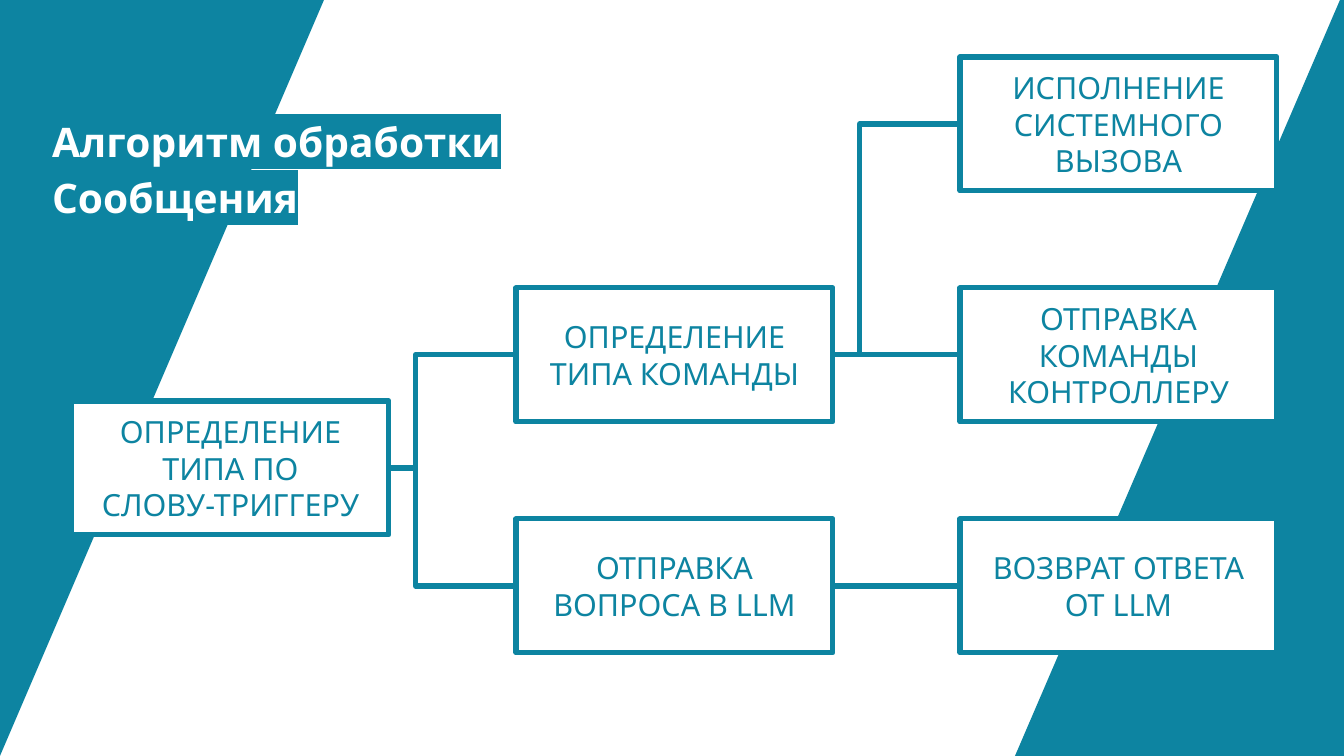
from lxml.etree import SubElement
from pptx import Presentation
from pptx.dml.color import RGBColor
from pptx.enum.shapes import MSO_CONNECTOR, MSO_SHAPE
from pptx.enum.text import MSO_ANCHOR, PP_ALIGN
from pptx.oxml import parse_xml
from pptx.oxml.ns import nsdecls, qn
from pptx.util import Pt

PX = 7495
SLIDE_WIDTH, SLIDE_HEIGHT = 1344, 756
TEAL = RGBColor(0x0D, 0x84, 0xA1)
WHITE = RGBColor(0xFF, 0xFF, 0xFF)
FONT = "Noto Sans"
LINE_WIDTH = Pt(3)

STEP_WIDTH, STEP_HEIGHT = 317, 134
COLUMN_STEP, ROW_STEP = 444, 231
FIRST_STEP_TOP = 344
ELBOW_POSITION = 20900

TRIGGER, COMMAND, QUESTION = "trigger", "command", "question"
SYSTEM, CONTROLLER, ANSWER = "system", "controller", "answer"
STEPS = {
    TRIGGER: (0, FIRST_STEP_TOP, "ОПРЕДЕЛЕНИЕ\nТИПА ПО\nСЛОВУ-ТРИГГЕРУ"),
    COMMAND: (1, ROW_STEP, "ОПРЕДЕЛЕНИЕ\nТИПА КОМАНДЫ"),
    QUESTION: (1, 2 * ROW_STEP, "ОТПРАВКА\nВОПРОСА В LLM"),
    SYSTEM: (2, 0, "ИСПОЛНЕНИЕ\nСИСТЕМНОГО\nВЫЗОВА"),
    CONTROLLER: (2, ROW_STEP, "ОТПРАВКА\nКОМАНДЫ\nКОНТРОЛЛЕРУ"),
    ANSWER: (2, 2 * ROW_STEP, "ВОЗВРАТ ОТВЕТА\nОТ LLM"),
}
LINKS = [
    (TRIGGER, COMMAND),
    (TRIGGER, QUESTION),
    (QUESTION, ANSWER),
    (COMMAND, SYSTEM),
    (COMMAND, CONTROLLER),
]


def write_text(shape, text, size, color, bold=False, align=PP_ALIGN.LEFT,
               spacing=1.0, margins=(0, 0), wrap=False, highlight=None):
    frame = shape.text_frame
    frame.word_wrap = wrap
    frame.vertical_anchor = MSO_ANCHOR.MIDDLE
    frame.margin_left = frame.margin_right = margins[0] * PX
    frame.margin_top = frame.margin_bottom = margins[1] * PX
    for index, line in enumerate(text.split("\n")):
        paragraph = frame.add_paragraph() if index else frame.paragraphs[0]
        paragraph.text = line
        paragraph.alignment = align
        paragraph.line_spacing = spacing
        for run in paragraph.runs:
            run.font.size = Pt(size)
            run.font.bold = bold
            run.font.name = FONT
            run.font.color.rgb = color
            if highlight is not None:
                fill = run.font._element.find(qn("a:solidFill"))
                fill.addnext(parse_xml(
                    f'<a:highlight {nsdecls("a")}>'
                    f'<a:srgbClr val="{highlight}"/></a:highlight>'))


def add_band(slide, left, top, points):
    start, *others = [(left + x, top + y) for x, y in points]
    builder = slide.shapes.build_freeform(*start, scale=PX)
    builder.add_line_segments(others, close=True)
    band = builder.convert_to_shape()
    band.shadow.inherit = False
    band.fill.solid()
    band.fill.fore_color.rgb = TEAL
    band.line.fill.background()


def add_title(slide, left, top, width, height):
    title = slide.shapes.add_textbox(left * PX, top * PX, width * PX, height * PX)
    write_text(title, "Алгоритм обработки\vСообщения", 24, WHITE, bold=True,
               spacing=1.15, wrap=True, highlight=TEAL)


def add_step(slide, left, top, text):
    step = slide.shapes.add_shape(MSO_SHAPE.RECTANGLE, left * PX, top * PX,
                                  STEP_WIDTH * PX, STEP_HEIGHT * PX)
    step.shadow.inherit = False
    step.fill.solid()
    step.fill.fore_color.rgb = WHITE
    step.line.color.rgb = TEAL
    step.line.width = LINE_WIDTH
    write_text(step, text, 18, TEAL, align=PP_ALIGN.CENTER, margins=(15, 9))
    return step


def add_link(slide, source, target):
    straight = source.top == target.top
    kind = MSO_CONNECTOR.STRAIGHT if straight else MSO_CONNECTOR.ELBOW
    link = slide.shapes.add_connector(kind, 0, 0, 0, 0)
    link.begin_connect(source, 3)
    link.end_connect(target, 1)
    link.line.color.rgb = TEAL
    link.line.width = LINE_WIDTH
    properties = link._element.spPr
    SubElement(properties, qn("a:effectLst"))
    if not straight:
        geometry = properties.find(qn("a:prstGeom"))
        SubElement(geometry.find(qn("a:avLst")), qn("a:gd"),
                   name="adj1", fmla=f"val {ELBOW_POSITION}")


def add_flowchart(slide, left, top):
    steps = {
        name: add_step(slide, left + column * COLUMN_STEP, top + offset, text)
        for name, (column, offset, text) in STEPS.items()
    }
    for source, target in LINKS:
        add_link(slide, steps[source], steps[target])


def main():
    presentation = Presentation()
    presentation.slide_width = SLIDE_WIDTH * PX
    presentation.slide_height = SLIDE_HEIGHT * PX
    slide = presentation.slides.add_slide(presentation.slide_layouts[6])
    add_band(slide, 0, 0, [(0, 0), (324, 0), (0, SLIDE_HEIGHT)])
    add_band(slide, 1015, 0, [(325, 0), (329, 0), (329, SLIDE_HEIGHT),
                              (0, SLIDE_HEIGHT)])
    add_flowchart(slide, 72, 57)
    add_title(slide, 52, 0, 692, 331)
    presentation.save("out.pptx")


if __name__ == "__main__":
    main()
